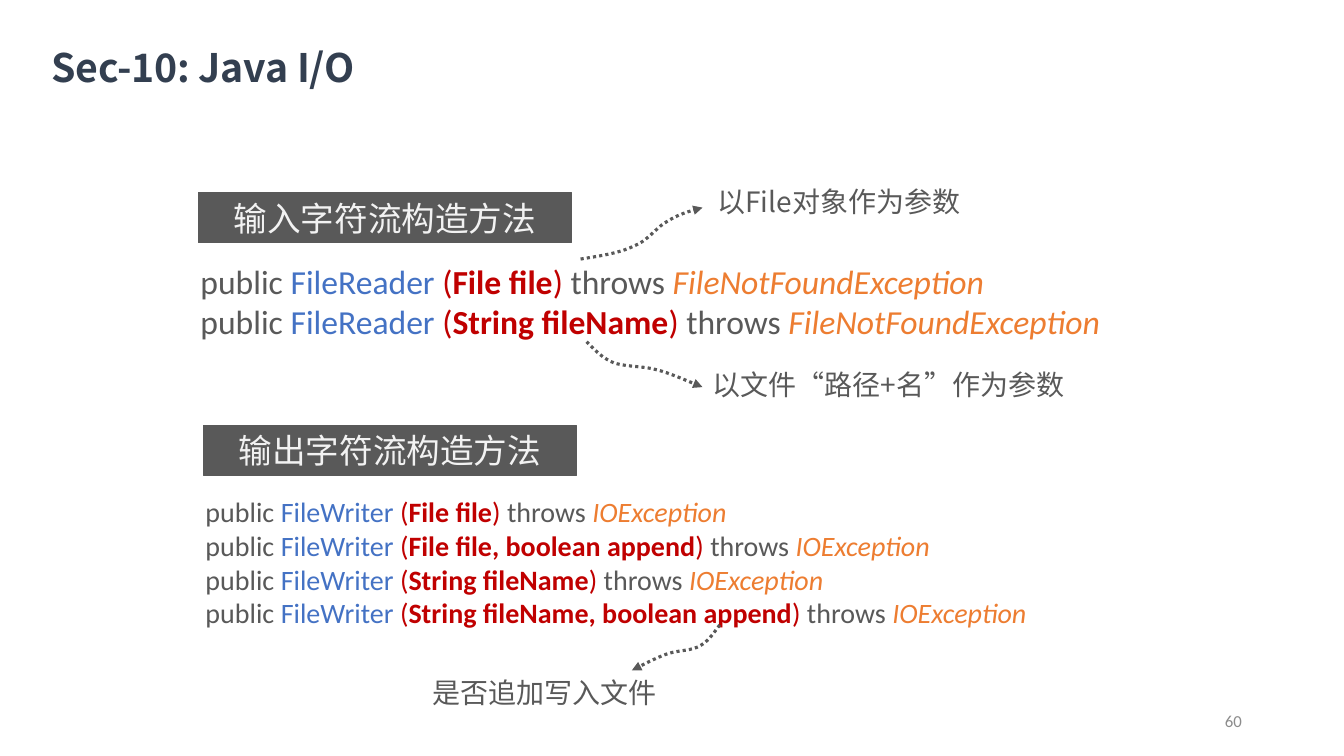
from lxml import etree
from pptx import Presentation
from pptx.dml.color import RGBColor
from pptx.enum.dml import MSO_LINE
from pptx.enum.shapes import MSO_SHAPE
from pptx.enum.text import MSO_ANCHOR, PP_ALIGN
from pptx.oxml.ns import qn
from pptx.util import Pt

GRAY = RGBColor(0x59, 0x59, 0x59)
PALE = RGBColor(0xF2, 0xF2, 0xF2)
DIM = RGBColor(0x8C, 0x8C, 0x8C)
NAVY = RGBColor(0x33, 0x3F, 0x50)
BLUE = RGBColor(0x44, 0x72, 0xC4)
RED = RGBColor(0xC0, 0x00, 0x00)
ORANGE = RGBColor(0xED, 0x7D, 0x31)
RECT = MSO_SHAPE.RECTANGLE
DOT = MSO_LINE.ROUND_DOT
LEFT, CENTER, RIGHT = PP_ALIGN.LEFT, PP_ALIGN.CENTER, PP_ALIGN.RIGHT
TOP, MIDDLE = MSO_ANCHOR.TOP, MSO_ANCHOR.MIDDLE
LATIN, HAN = "Calibri", "Noto Sans CJK SC"
STEPS = 10


def write(para, text, size=20, color=GRAY, face=HAN, bold=False, italic=False, track=0):
    """Add one formatted run to a paragraph."""
    run = para.add_run()
    run.text = text
    font = run.font
    font.size, font.bold, font.italic = Pt(size), bold, italic
    font.color.rgb = color
    font.name = face
    props = run._r.get_or_add_rPr()
    etree.SubElement(props, qn("a:ea")).set("typeface", HAN)
    if track:
        props.set("spc", str(track))


def bend(a, b, c, d, t):
    """Return the point at t on a cubic curve."""
    s = 1 - t
    return tuple(
        Pt(s**3 * p + 3 * s * s * t * q + 3 * s * t * t * r + t**3 * u)
        for p, q, r, u in zip(a, b, c, d)
    )


class Page:
    """Draws the elements of one slide in a shared style."""

    def __init__(self, slide):
        self.shapes = slide.shapes

    def box(self, x, y, w, h, anchor=TOP):
        frame = self.shapes.add_textbox(Pt(x), Pt(y), Pt(w), Pt(h)).text_frame
        frame.word_wrap = True
        frame.vertical_anchor = anchor
        return frame

    def label(self, x, y, w, h, text, align=LEFT, anchor=TOP, **style):
        para = self.box(x, y, w, h, anchor).paragraphs[0]
        para.alignment = align
        write(para, text, **style)

    def title(self, x, y, w, h, text):
        frame = self.box(x, y, w, h)
        frame.margin_left = frame.margin_top = Pt(0.72)
        frame.margin_right = frame.margin_bottom = 0
        write(frame.paragraphs[0], text, size=28, color=NAVY, bold=True, track=-10)

    def banner(self, x, y, text):
        shape = self.shapes.add_shape(RECT, Pt(x), Pt(y), Pt(266.4), Pt(36))
        shape.shadow.inherit = False
        shape.fill.solid()
        shape.fill.fore_color.rgb = GRAY
        shape.line.color.rgb = GRAY
        shape.line.width = Pt(0.75)
        frame = shape.text_frame
        frame.word_wrap = True
        frame.vertical_anchor = TOP
        para = frame.paragraphs[0]
        para.alignment = CENTER
        write(para, text, size=24, color=PALE)

    def code(self, x, y, h, name, params, error, size):
        frame = self.box(x, y, 731.5, h)
        for i, param in enumerate(params):
            para = frame.add_paragraph() if i else frame.paragraphs[0]
            parts = (
                ("public ", GRAY, False, False),
                (name + " ", BLUE, False, False),
                ("(", RED, False, False),
                (param, RED, True, False),
                (")", RED, False, False),
                (" throws ", GRAY, False, False),
                (error, ORANGE, False, True),
            )
            for text, color, bold, italic in parts:
                write(para, text, size=size, color=color, face=LATIN, bold=bold, italic=italic)

    def curve(self, *pts):
        path = [
            bend(*pts[i:i + 4], n / STEPS)
            for i in range(0, len(pts) - 1, 3)
            for n in range(1, STEPS + 1)
        ]
        x, y = pts[0]
        pen = self.shapes.build_freeform(Pt(x), Pt(y))
        pen.add_line_segments(path, close=False)
        shape = pen.convert_to_shape()
        shape.shadow.inherit = False
        shape.fill.background()
        line = shape.line
        line.color.rgb = GRAY
        line.width = Pt(2.25)
        line.dash_style = DOT
        tail = etree.SubElement(line._get_or_add_ln(), qn("a:tailEnd"))
        tail.set("type", "triangle")


def main():
    deck = Presentation()
    deck.slide_width, deck.slide_height = Pt(960), Pt(540)
    page = Page(deck.slides.add_slide(deck.slide_layouts[6]))
    page.label(678.2, 500.4, 216, 28.8, "60", align=RIGHT, anchor=MIDDLE,
               size=12, color=DIM, face=LATIN)
    page.code(136.1, 182.9, 65.5, "FileReader", ("File file", "String fileName"),
              "FileNotFoundException", 24)
    page.banner(141.8, 137.5, "输入字符流构造方法")
    page.code(139.7, 349.9, 104.4, "FileWriter",
              ("File file", "File file, boolean append",
               "String fileName", "String fileName, boolean append"),
              "IOException", 20)
    page.banner(145.4, 303.8, "输出字符流构造方法")
    page.curve((414.7, 185), (428.4, 182.9), (442.8, 180.7), (452.9, 175.7),
               (463.7, 171.4), (468.7, 162), (477.4, 157.7),
               (485.3, 152.6), (493.9, 150.5), (501.8, 148.3))
    page.label(505.4, 128.2, 218.2, 31.7, "以File对象作为参数")
    page.label(501.8, 259.2, 272.9, 31.7, "以文件“路径+名”作为参数")
    page.curve((419, 244.1), (424.8, 249.8), (429.8, 255.6), (438.5, 259.2),
               (447.1, 262.1), (459.4, 261.4), (469.4, 264.2),
               (480.2, 267.1), (491, 272.2), (501.8, 276.5))
    page.label(301.7, 478.8, 181.4, 31.7, "是否追加写入文件")
    page.curve((514.1, 446.4), (509.8, 452.2), (506.2, 457.9), (499.7, 461.5),
               (493.2, 465.1), (483.8, 464.4), (475.9, 467.3),
               (468, 470.2), (460.1, 474.5), (451.4, 478.8))
    page.title(36, 30.2, 466.6, 34.6, "Sec-10: Java I/O")
    deck.save("out.pptx")


if __name__ == "__main__":
    main()
